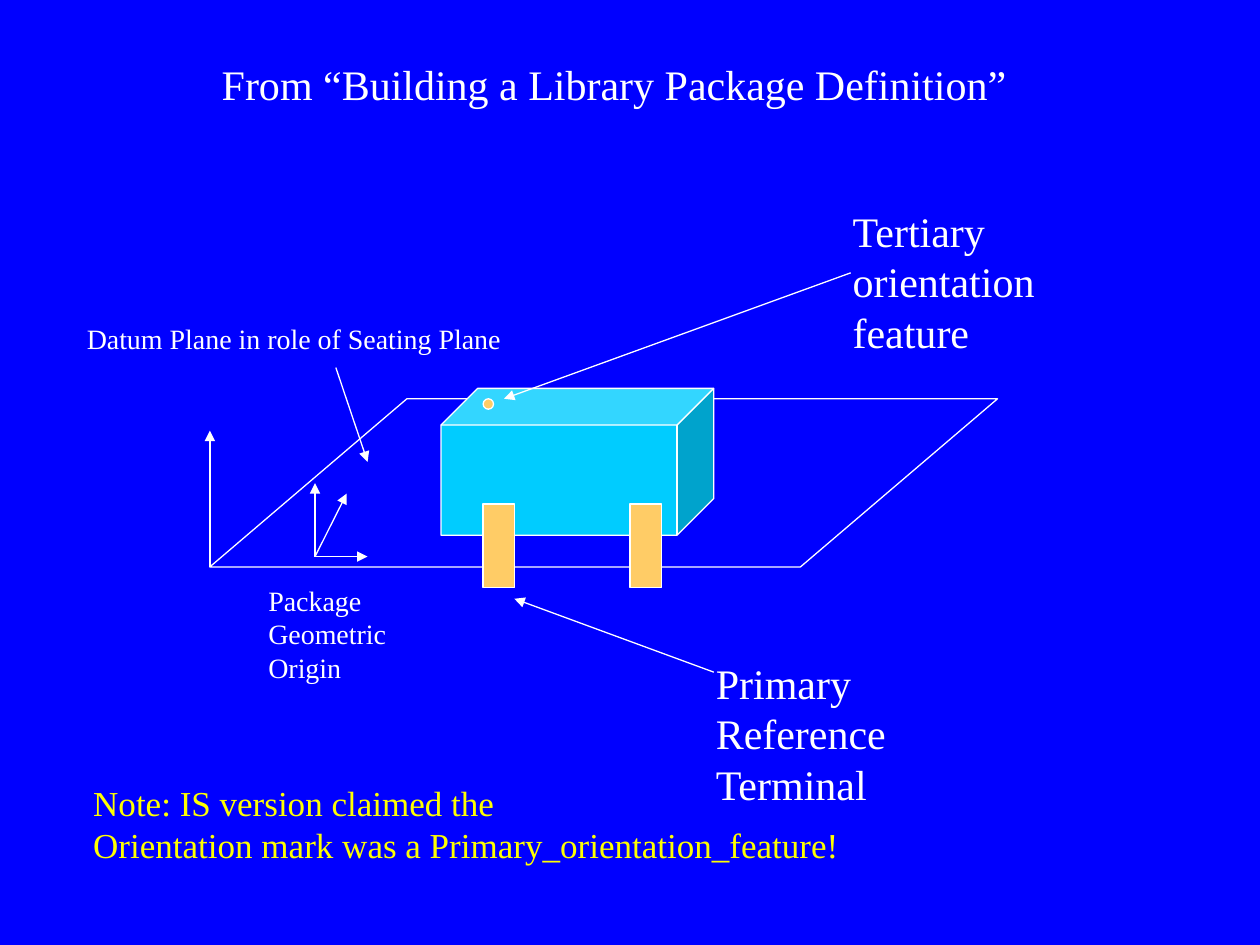
"""Build the slide on package orientation features and the seating plane."""
from dataclasses import dataclass
from typing import Optional

from lxml.etree import SubElement
from pptx import Presentation
from pptx.dml.color import RGBColor
from pptx.enum.shapes import MSO_CONNECTOR, MSO_SHAPE
from pptx.enum.text import MSO_AUTO_SIZE
from pptx.oxml.ns import qn
from pptx.util import Cm, Pt

BLUE, WHITE, YELLOW = "0000FF", "FFFFFF", "FFFF00"
CYAN, ORANGE = "00CCFF", "FFCC66"
FONT = "Times New Roman"


@dataclass
class Label:
    text: str
    left: float
    top: float
    width: float
    height: float
    size: int
    color: str = WHITE
    wrap: bool = False


@dataclass
class Solid:
    kind: MSO_SHAPE
    left: float
    top: float
    width: float
    height: float
    fill: Optional[str] = None
    adjustment: Optional[float] = None


@dataclass
class Arrow:
    start: tuple[float, float]
    end: tuple[float, float]
    weight: float = 0.75


SEATING_PLANE = Solid(MSO_SHAPE.PARALLELOGRAM, 4.23, 8.04, 15.88, 3.39, adjustment=1.172)
PACKAGE_BODY = Solid(MSO_SHAPE.CUBE, 8.89, 7.83, 5.5, 2.96, CYAN, 0.25)
TERMINALS = [Solid(MSO_SHAPE.RECTANGLE, left, 10.16, 0.64, 1.69, ORANGE) for left in (12.7, 9.74)]
ORIENTATION_MARK = Solid(MSO_SHAPE.OVAL, 9.74, 8.04, 0.21, 0.21, ORANGE)
SOLIDS = [SEATING_PLANE, PACKAGE_BODY, *TERMINALS, ORIENTATION_MARK]

LABELS = [
    Label("From “Building a Library Package Definition”", 4.22, 1.05, 16.35, 1.27, 24),
    Label("Primary\nReference\nTerminal", 14.18, 13.13, 4.2, 3.3, 24),
    Label("Tertiary orientation feature", 16.94, 4.02, 6.15, 3.3, 24, wrap=True),
    Label("Datum Plane in role of Seating Plane", 1.5, 6.35, 8.9, 0.94, 16),
    Label("Package\nGeometric\nOrigin", 5.16, 11.63, 3, 2.29, 16),
    Label("Note: IS version claimed the\nOrientation mark was a Primary_orientation_feature!",
          1.63, 15.62, 15.6, 1.96, 20, YELLOW),
]

POINTERS = [
    Arrow((17.15, 5.5), (10.16, 8.04)),
    Arrow((14.39, 13.55), (10.37, 12.07)),
    Arrow((6.77, 7.41), (7.41, 9.31)),
    Arrow((4.23, 11.43), (4.23, 8.68), 1),
]
ORIGIN = (6.35, 11.22)
ORIGIN_AXES = [Arrow(ORIGIN, tip) for tip in ((7.41, 11.22), (6.35, 9.74), (6.99, 9.95))]


def paint(color_format, color: str) -> None:
    """Give a fill, line or font colour format a hex colour."""
    color_format.rgb = RGBColor.from_string(color)


def draw_solid(shapes, solid: Solid) -> None:
    """Draw a preset shape with a thin white outline."""
    shape = shapes.add_shape(solid.kind, Cm(solid.left), Cm(solid.top),
                             Cm(solid.width), Cm(solid.height))
    shape.shadow.inherit = False
    if solid.adjustment is not None:
        shape.adjustments[0] = solid.adjustment
    if solid.fill is None:
        shape.fill.background()
    else:
        shape.fill.solid()
        paint(shape.fill.fore_color, solid.fill)
    paint(shape.line.color, WHITE)
    shape.line.width = Pt(0.75)


def draw_label(shapes, label: Label) -> None:
    """Draw a text box with one paragraph for each line of text."""
    box = shapes.add_textbox(Cm(label.left), Cm(label.top), Cm(label.width), Cm(label.height))
    frame = box.text_frame
    frame.word_wrap = label.wrap
    frame.auto_size = MSO_AUTO_SIZE.SHAPE_TO_FIT_TEXT
    frame.text = label.text
    for paragraph in frame.paragraphs:
        paragraph.font.name = FONT
        paragraph.font.size = Pt(label.size)
        paint(paragraph.font.color, label.color)


def draw_arrow(shapes, arrow: Arrow) -> None:
    """Draw a straight white line that ends in a triangle."""
    connector = shapes.add_connector(MSO_CONNECTOR.STRAIGHT, *map(Cm, arrow.start + arrow.end))
    paint(connector.line.color, WHITE)
    connector.line.width = Pt(arrow.weight)
    SubElement(connector.get_or_add_ln(), qn("a:tailEnd"), type="triangle")
    SubElement(connector._element.spPr, qn("a:effectLst"))


def main() -> None:
    """Build and save the presentation."""
    presentation = Presentation()
    presentation.slide_width, presentation.slide_height = Cm(25.4), Cm(19.05)
    slide = presentation.slides.add_slide(presentation.slide_layouts[6])
    slide.background.fill.solid()
    paint(slide.background.fill.fore_color, BLUE)

    for solid in SOLIDS:
        draw_solid(slide.shapes, solid)
    for pointer in POINTERS:
        draw_arrow(slide.shapes, pointer)
    origin_group = slide.shapes.add_group_shape()
    for axis in ORIGIN_AXES:
        draw_arrow(origin_group.shapes, axis)
    for label in LABELS:
        draw_label(slide.shapes, label)
    presentation.save("out.pptx")


if __name__ == "__main__":
    main()
